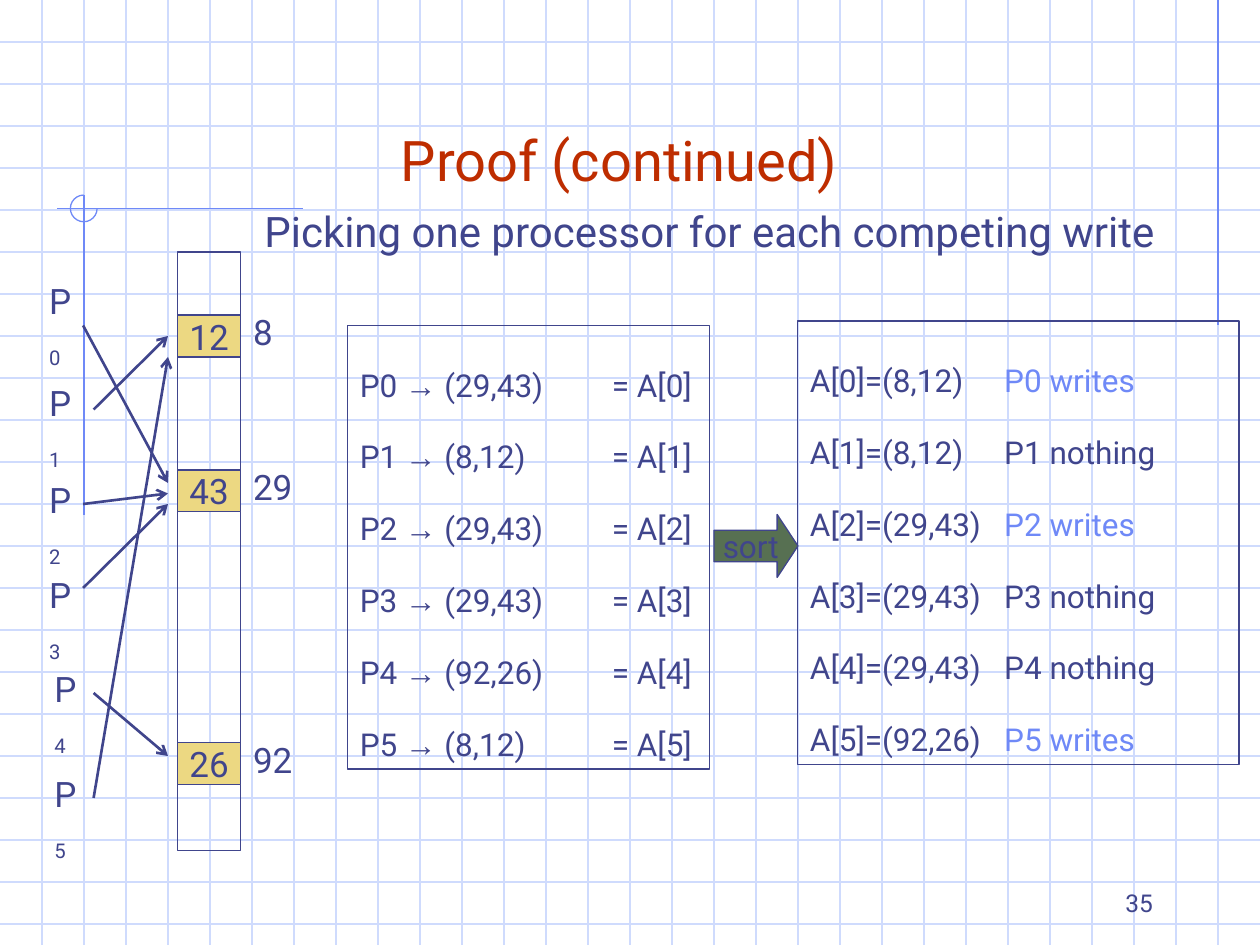
"""Builds the slide on picking one processor for each competing write."""
from dataclasses import dataclass

from lxml.etree import SubElement
from pptx import Presentation
from pptx.dml.color import RGBColor
from pptx.enum.shapes import MSO_CONNECTOR, MSO_SHAPE
from pptx.enum.text import MSO_ANCHOR, MSO_AUTO_SIZE, PP_ALIGN
from pptx.oxml.ns import qn
from pptx.util import Pt


@dataclass(frozen=True)
class Theme:
    font: str = "Roboto"
    symbol_font: str = "Arial"
    ink: str = "40458C"
    accent: str = "6F89F7"
    heading: str = "BE2D00"
    grid: str = "CFDBFD"
    cell: str = "ECD882"
    sort: str = "577052"
    title_size: float = 32
    subtitle_size: float = 24
    label_size: float = 20
    list_size: float = 18
    number_size: float = 14
    thin: float = 0.75
    thick: float = 1.5


THEME = Theme()
WIDTH, HEIGHT, GRID_STEP = 720, 540, 24

TITLE = "Proof (continued)"
SUBTITLE = "Picking one processor for each competing write"
SORT_LABEL = "sort"
PAGE_NUMBER = "35"

MEMORY = (101.5, 144, 36, 342)
CELL_HEIGHT = 24
CELLS = [("12", "8", 180, 26), ("43", "29", 268.5, 37.5), ("26", "92", 424.5, 37.5)]

PROCESSORS = [
    (21, 156, (47.5, 186), 276),
    (21, 214.5, (53.5, 234), 192),
    (21, 270, (47.5, 288), 282),
    (21, 324, (47.5, 336), 288),
    (24, 378, (53.5, 396), 432),
    (24, 438, (53.5, 456), 204),
]
ARROW_END_X = 96

REQUESTS = ["(29,43)", "(8,12)", "(29,43)", "(29,43)", "(92,26)", "(8,12)"]
SORTED = [
    ("(8,12)", "writes"),
    ("(8,12)", "nothing"),
    ("(29,43)", "writes"),
    ("(29,43)", "nothing"),
    ("(29,43)", "nothing"),
    ("(92,26)", "writes"),
]
REQUEST_BOX, REQUEST_TAB = (198.5, 186, 207, 253.5), 144
SORTED_BOX, SORTED_TAB = (455.75, 183.5, 252.25, 253.5), 111
SORT_ARROW = (408, 294, 48, 36)


def rgb(color):
    return RGBColor.from_string(color)


def add_line(slide, start, end, color, weight=THEME.thin, arrow=False):
    line = slide.shapes.add_connector(MSO_CONNECTOR.STRAIGHT, *map(Pt, (*start, *end)))
    line.line.color.rgb = rgb(color)
    line.line.width = Pt(weight)
    if arrow:
        SubElement(line.line._get_or_add_ln(), qn("a:tailEnd"), type="arrow")
    SubElement(line._element.spPr, qn("a:effectLst"))


def add_outline(slide, kind, box, fill=None, color=THEME.ink):
    outline = slide.shapes.add_shape(kind, *map(Pt, box))
    outline.shadow.inherit = False
    outline.line.color.rgb = rgb(color)
    outline.line.width = Pt(THEME.thin)
    if fill:
        outline.fill.solid()
        outline.fill.fore_color.rgb = rgb(fill)
    else:
        outline.fill.background()
    return outline


def style_run(run, size, color=THEME.ink, font=THEME.font):
    run.font.name = font
    run.font.size = Pt(size)
    run.font.color.rgb = rgb(color)


def set_frame(shape, anchor=MSO_ANCHOR.TOP, wrap=True):
    frame = shape.text_frame
    frame.auto_size = MSO_AUTO_SIZE.NONE
    frame.word_wrap = wrap
    frame.vertical_anchor = anchor
    return frame


def set_label(shape, text, size, color=THEME.ink, align=PP_ALIGN.LEFT,
              anchor=MSO_ANCHOR.TOP, wrap=True):
    frame = set_frame(shape, anchor, wrap)
    frame.text = text
    frame.paragraphs[0].alignment = align
    style_run(frame.paragraphs[0].runs[0], size, color)


def add_label(slide, box, *args, **options):
    set_label(slide.shapes.add_textbox(*map(Pt, box)), *args, **options)


def add_list_box(slide, box, rows, tab):
    frame = set_frame(add_outline(slide, MSO_SHAPE.RECTANGLE, box))
    for index, parts in enumerate(rows):
        row = frame.paragraphs[0] if index == 0 else frame.add_paragraph()
        tabs = SubElement(row._p.get_or_add_pPr(), qn("a:tabLst"))
        SubElement(tabs, qn("a:tab"), pos=str(Pt(tab)), algn="l")
        row.alignment = PP_ALIGN.LEFT
        row.line_spacing = 1.9
        for text, color, font in parts:
            run = row.add_run()
            run.text = text
            style_run(run, THEME.list_size, color, font)


def draw_background(slide):
    for y in range(GRID_STEP, HEIGHT, GRID_STEP):
        add_line(slide, (0, y), (WIDTH, y), THEME.grid)
    for x in range(GRID_STEP, WIDTH, GRID_STEP):
        add_line(slide, (x, 0), (x, HEIGHT), THEME.grid)
    for start, end in [((696, 0), (696, 186)), ((173, 119.25), (32.5, 119.25)),
                       ((48, 111.5), (48, 294.5))]:
        add_line(slide, start, end, THEME.accent)
    arc = add_outline(slide, MSO_SHAPE.ARC, (40.25, 111.5, 15.25, 15.25), color=THEME.accent)
    arc.adjustments[0] = 0
    arc.adjustments[1] = 162


def draw_title(slide):
    title = slide.shapes.title
    slide.shapes._spTree.append(title._element)
    title.left, title.top, title.width, title.height = map(Pt, (48, 24, 612, 90))
    set_label(title, TITLE, THEME.title_size, THEME.heading, PP_ALIGN.CENTER, MSO_ANCHOR.BOTTOM)


def draw_memory(slide):
    add_outline(slide, MSO_SHAPE.RECTANGLE, MEMORY)
    left, _, width, _ = MEMORY
    for value, address, top, address_width in CELLS:
        cell = add_outline(slide, MSO_SHAPE.RECTANGLE, (left, top, width, CELL_HEIGHT), THEME.cell)
        set_label(cell, value, THEME.label_size, align=PP_ALIGN.CENTER,
                  anchor=MSO_ANCHOR.MIDDLE, wrap=False)
        add_label(slide, (left + width, top - 6, address_width, 31.5), address,
                  THEME.label_size, wrap=False)


def draw_processors(slide):
    for number, (left, top, start, end_y) in enumerate(PROCESSORS):
        processor = set_frame(slide.shapes.add_textbox(*map(Pt, (left, top, 33, 34.5))))
        for text in ("P", str(number)):
            run = processor.paragraphs[0].add_run()
            run.text = text
            style_run(run, THEME.label_size)
        run.font._element.set("baseline", "-25000")
        add_line(slide, start, (ARROW_END_X, end_y), THEME.ink, THEME.thick, arrow=True)


def draw_sorting(slide):
    plain = (THEME.ink, THEME.font)
    requests = [
        [(f"P{i} ", *plain), ("→", THEME.ink, THEME.symbol_font), (f" {pair}\t= A[{i}]", *plain)]
        for i, pair in enumerate(REQUESTS)
    ]
    results = [
        [(f"A[{i}]={pair}\t", *plain),
         (f"P{i} {action}", THEME.accent if action == "writes" else THEME.ink, THEME.font)]
        for i, (pair, action) in enumerate(SORTED)
    ]
    add_list_box(slide, REQUEST_BOX, requests, REQUEST_TAB)
    add_list_box(slide, SORTED_BOX, results, SORTED_TAB)
    arrow = add_outline(slide, MSO_SHAPE.RIGHT_ARROW, SORT_ARROW, THEME.sort)
    arrow.adjustments[1] = 0.33
    set_label(arrow, SORT_LABEL, THEME.list_size, align=PP_ALIGN.CENTER,
              anchor=MSO_ANCHOR.MIDDLE, wrap=False)


def main():
    deck = Presentation()
    deck.slide_width, deck.slide_height = Pt(WIDTH), Pt(HEIGHT)
    slide = deck.slides.add_slide(deck.slide_layouts[5])
    for draw in (draw_background, draw_title, draw_memory, draw_processors, draw_sorting):
        draw(slide)
    add_label(slide, (144, 114, 551.5, 36), SUBTITLE, THEME.subtitle_size)
    add_label(slide, (516, 492, 150, 36), PAGE_NUMBER, THEME.number_size,
              align=PP_ALIGN.RIGHT, anchor=MSO_ANCHOR.BOTTOM)
    deck.save("out.pptx")


if __name__ == "__main__":
    main()
